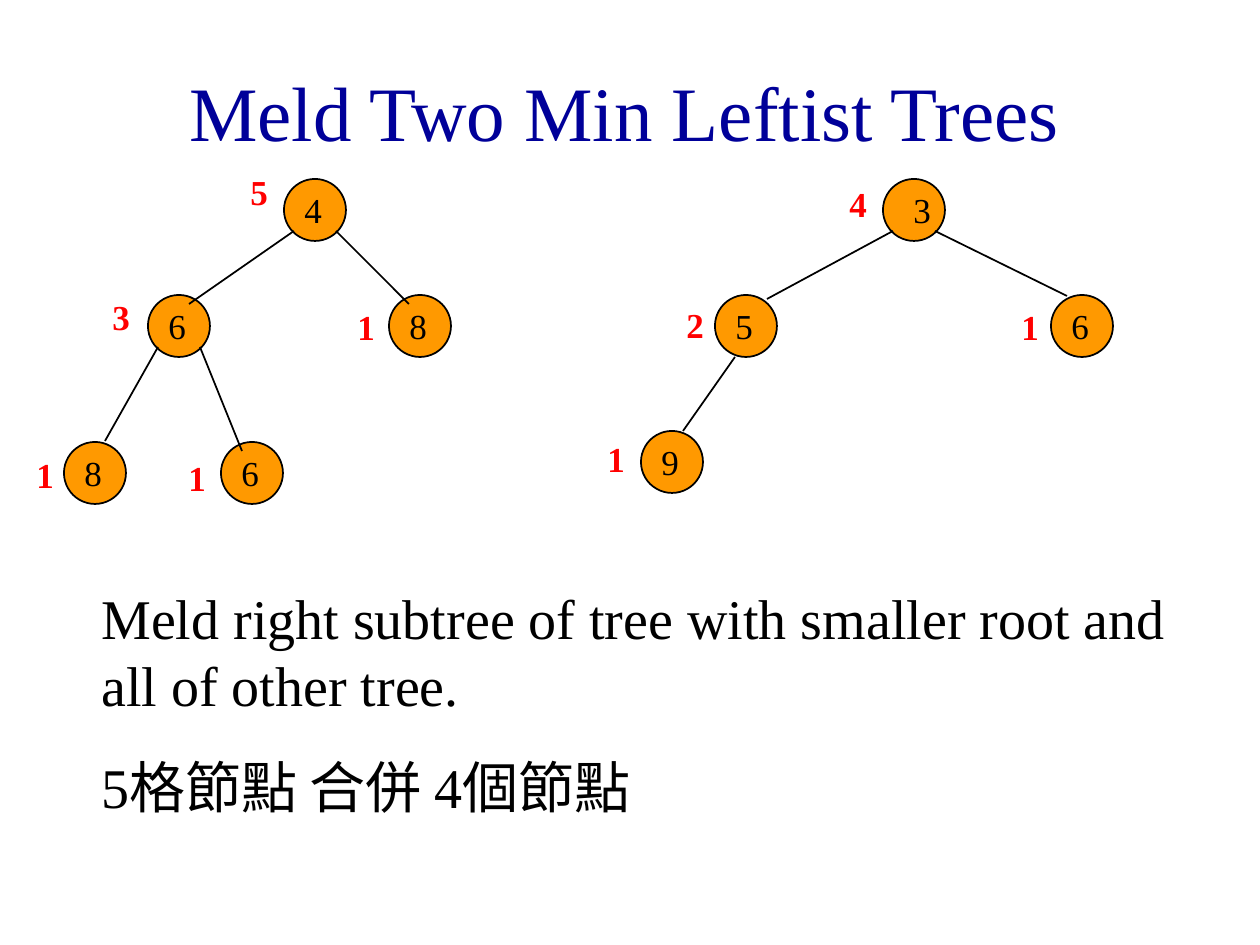
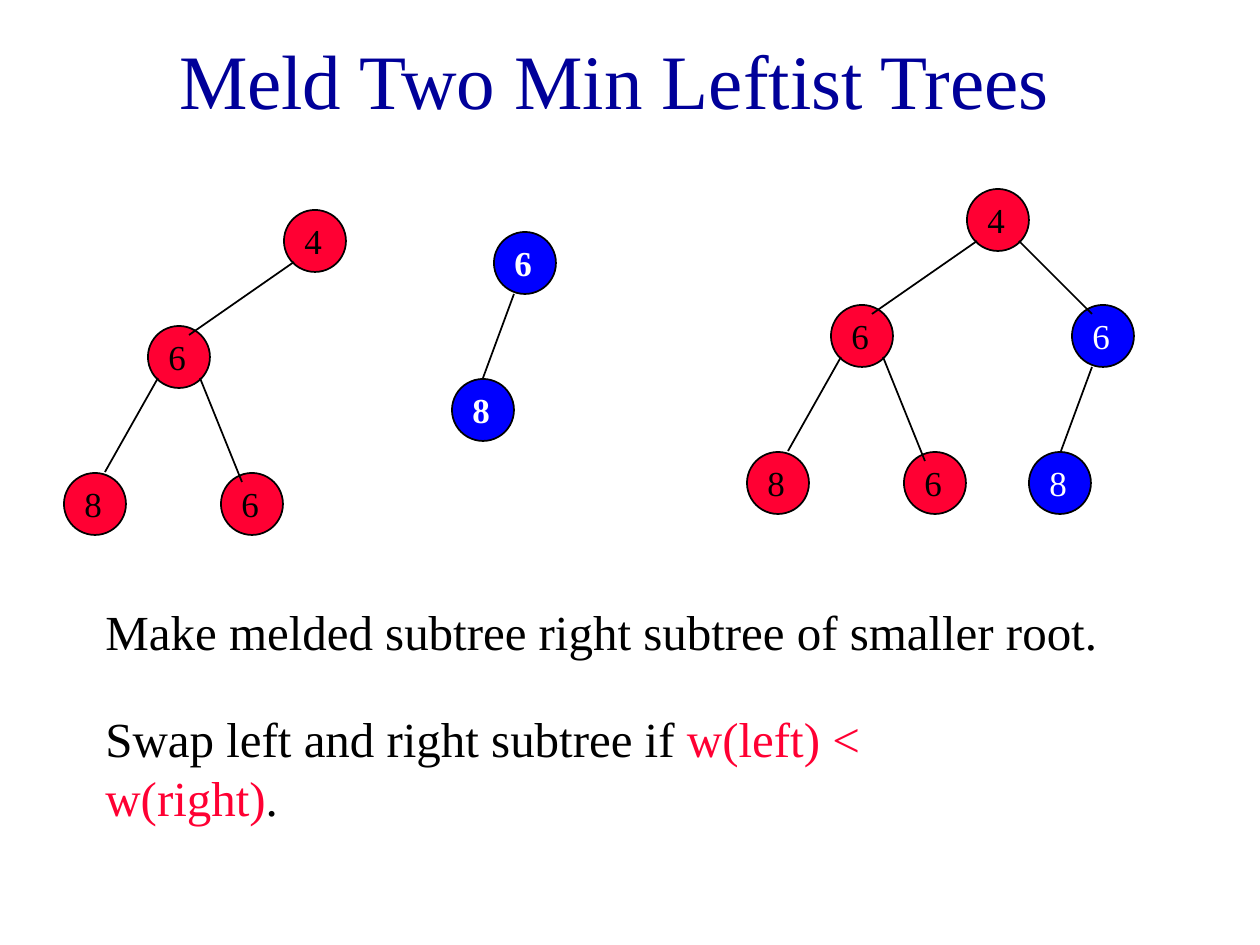
from pptx import Presentation, util as u
from pptx.dml.color import RGBColor
from pptx.enum import shapes, text
from lxml import etree

SCALE = 914400 / 126
FONT = "Times New Roman"
BLACK, WHITE, NAVY = "000000", "FFFFFF", "000099"
ORANGE, RED, CRIMSON, BLUE = "FF9900", "FF0000", "FF0033", "0000FF"
DISC = 62
TITLE = "Meld Two Min Leftist Trees"
SW, SE, FOOT = (10, 52), (52, 52), (20, 62)

# node: key, left, top; edge: parent, child, start and end inside their discs
BASE = {
    "nodes": {"4": (284, 179), "6": (148, 295), "6a": (221, 442), "8": (64, 442)},
    "edges": [("4", "6", SW, (41, 9)), ("6", "8", SW, (41, -1)),
              ("6", "6a", SE, (21, 9))],
}
FULL = {
    "nodes": {**BASE["nodes"], "8a": (389, 295)},
    "edges": BASE["edges"] + [("4", "8a", SE, (20, 9))],
}
OTHER = {
    "nodes": {"3": (883, 179), "5": (715, 295), "6": (1051, 295), "9": (641, 431)},
    "edges": [("3", "5", SW, (52, 4)), ("3", "6", SE, (16, 1)),
              ("5", "9", FOOT, (42, 0))],
}
PAIR = {
    "nodes": {"6": (494, 232), "8": (452, 379)},
    "edges": [("6", "8", FOOT, (31, -1))],
}
MELD = {
    "nodes": {**BASE["nodes"], "6b": (389, 295), "8b": (346, 442)},
    "edges": BASE["edges"] + [("4", "6b", SE, (20, 9)), ("6b", "8b", FOOT, (32, -1))],
}
WEIGHTS = [
    ("5", 238, 164), ("3", 100, 289), ("1", 24, 447), ("1", 176, 450),
    ("1", 345, 299), ("4", 837, 176), ("2", 674, 297), ("1", 595, 431),
    ("1", 1009, 299),
]
RULE = ["Meld right subtree of tree with smaller root and all of other tree.",
        "5格節點 合併 4個節點"]
JOIN = ["Make melded subtree right subtree of smaller root."]
SWAP = [[("Swap left and right subtree if ", BLACK),
         ("w(left) < w(right)", CRIMSON), (".", BLACK)]]


def px(*nums):
    return [u.Emu(round(n * SCALE)) for n in nums]


def rgb(code):
    return RGBColor.from_string(code)


def write(spot, paras, box, size=20, color=BLACK, bold=False, wrap=True,
          gap=0, align=text.PP_ALIGN.LEFT, anchor=text.MSO_ANCHOR.TOP):
    frame = spot.add_textbox(*px(*box)).text_frame
    frame.word_wrap = wrap
    frame.vertical_anchor = anchor
    for i, runs in enumerate(paras):
        para = frame.add_paragraph() if i else frame.paragraphs[0]
        para.alignment = align
        if i:
            para.space_before = u.Pt(gap)
        for words, tint in [(runs, color)] if isinstance(runs, str) else runs:
            run = para.add_run()
            run.text = words
            run.font.name, run.font.size = FONT, u.Pt(size)
            run.font.bold = bold
            run.font.color.rgb = rgb(tint)


def ink(line):
    line.color.rgb = rgb(BLACK)
    line.width = u.Pt(1)


def disc(spot, x, y, fill):
    oval = spot.add_shape(shapes.MSO_SHAPE.OVAL, *px(x, y, DISC, DISC))
    oval.shadow.inherit = False
    oval.fill.solid()
    oval.fill.fore_color.rgb = rgb(fill)
    ink(oval.line)


def edge(spot, *ends):
    link = spot.add_connector(shapes.MSO_CONNECTOR.STRAIGHT, *px(*ends))
    ink(link.line)
    props = link._element.spPr
    etree.SubElement(props, props.nsmap["a"].join("{}") + "effectLst")


def draw(spot, tree, fill, dx=0, dy=0, blue=(), bold=False, shift={}):
    nodes = {key: (x + dx, y + dy) for key, (x, y) in tree["nodes"].items()}
    for key, (x, y) in nodes.items():
        disc(spot, x, y, BLUE if key in blue else fill)
    for top, low, start, end in tree["edges"]:
        (a, b), (c, d) = nodes[top], nodes[low]
        edge(spot, a + start[0], b + start[1], c + end[0], d + end[1])
    for key, (x, y) in nodes.items():
        write(spot, [key[0]], (x + shift.get(key, 8), y + 3, 43, 54), wrap=False,
              color=WHITE if key in blue else BLACK, bold=bold)


def page(deck, x, y):
    slide = deck.slides.add_slide(deck.slide_layouts[6])
    write(slide.shapes, [TITLE], (x, y, 1229, 158), size=44, color=NAVY,
          align=text.PP_ALIGN.CENTER, anchor=text.MSO_ANCHOR.MIDDLE)
    return slide.shapes


def main():
    deck = Presentation()
    deck.slide_width, deck.slide_height = px(1260, 945)

    spot = page(deck, 10, 32)
    draw(spot, FULL, ORANGE)
    draw(spot, OTHER, ORANGE, shift={"3": 18})
    write(spot, RULE, (89, 577, 1103, 249), size=32, gap=20)
    for mark, x, y in WEIGHTS:
        write(spot, [mark], (x, y, 50, 55), color=RED, bold=True)

    spot = page(deck, 0, 0)
    draw(spot.add_group_shape().shapes, MELD, CRIMSON, 683, 10, blue=("6b", "8b"))
    parts = spot.add_group_shape().shapes
    draw(parts, BASE, CRIMSON, dy=31)
    draw(parts, PAIR, BLUE, blue=("6", "8"), bold=True)
    write(spot, JOIN, (93, 595, 1103, 72), size=28)
    write(spot, SWAP, (93, 702, 964, 72), size=28, wrap=False)

    deck.save("out.pptx")


if __name__ == "__main__":
    main()
